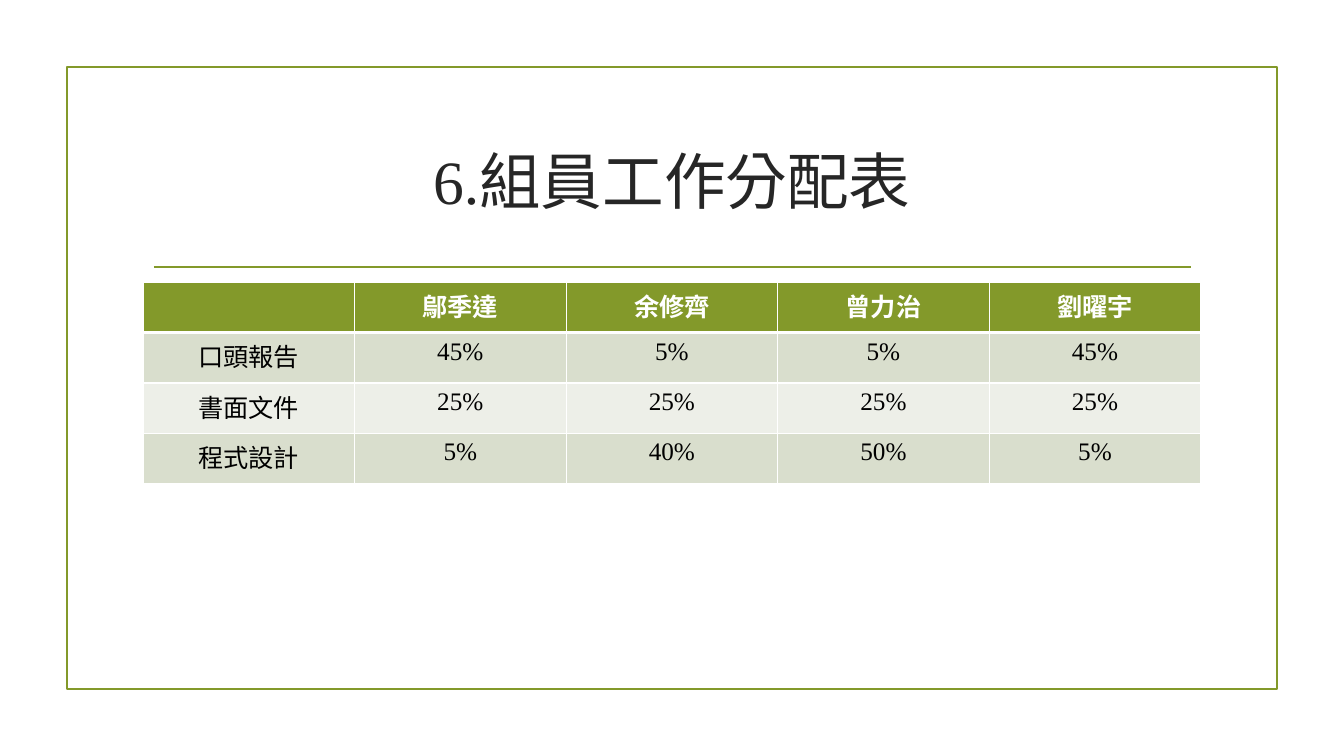
from lxml.etree import SubElement
from pptx import Presentation
from pptx.dml.color import RGBColor
from pptx.enum.shapes import MSO_CONNECTOR, MSO_SHAPE
from pptx.enum.text import MSO_ANCHOR, PP_ALIGN
from pptx.oxml.ns import qn
from pptx.util import Emu, Pt

GREEN = RGBColor(0x83, 0x99, 0x2A)
DARK = RGBColor(0x26, 0x26, 0x26)
BLACK = RGBColor(0x00, 0x00, 0x00)
WHITE = RGBColor(0xFF, 0xFF, 0xFF)
BAND_DARK = RGBColor(0xD9, 0xDE, 0xCD)
BAND_LIGHT = RGBColor(0xED, 0xEF, 0xE8)

WORKLOAD = [
    ["", "鄔季達", "余修齊", "曾力治", "劉曜宇"],
    ["口頭報告", "45%", "5%", "5%", "45%"],
    ["書面文件", "25%", "25%", "25%", "25%"],
    ["程式設計", "5%", "40%", "50%", "5%"],
]


def px(*lengths):
    return [Emu(round(length * 914400 / 100.8)) for length in lengths]


class SlideBuilder:
    """Draws styled elements on one slide."""

    font = "Times New Roman"
    rule_width = Pt(1.25)

    def __init__(self, page):
        self.page = page

    def add_text(self, frame, text, size, color, bold=False):
        para = frame.paragraphs[0]
        para.alignment = PP_ALIGN.CENTER
        span = para.add_run()
        span.text = text
        span.font.name = self.font
        span.font.size = Pt(size)
        span.font.bold = bold
        span.font.color.rgb = color
        span._r.get_or_add_rPr().set("lang", "zh-TW")

    def frame(self, left, top, width, height):
        box = self.page.shapes.add_shape(MSO_SHAPE.RECTANGLE, *px(left, top, width, height))
        box.shadow.inherit = False
        box.fill.background()
        box.line.color.rgb = GREEN
        box.line.width = self.rule_width

    def rule(self, left, right, y):
        line = self.page.shapes.add_connector(MSO_CONNECTOR.STRAIGHT, *px(left, y, right, y))
        line.line.color.rgb = GREEN
        line.line.width = self.rule_width
        SubElement(line._element.spPr, qn("a:effectLst"))

    def title(self, text, left, top, width, height):
        box = self.page.shapes.add_textbox(*px(left, top, width, height))
        box.text_frame.word_wrap = True
        box.text_frame.vertical_anchor = MSO_ANCHOR.MIDDLE
        self.add_text(box.text_frame, text, 44, DARK)

    def borders(self, cell, top, bottom):
        properties = cell._tc.get_or_add_tcPr()
        for index, (side, width) in enumerate([("L", 1), ("R", 1), ("T", top), ("B", bottom)]):
            edge = properties.makeelement(qn(f"a:ln{side}"), {"w": str(Pt(width))})
            fill = SubElement(edge, qn("a:solidFill"))
            SubElement(fill, qn("a:srgbClr"), val=str(WHITE))
            properties.insert(index, edge)

    def table(self, rows, left, top, width, height):
        grid = self.page.shapes.add_table(
            len(rows), len(rows[0]), *px(left, top, width, height)
        ).table
        for row, texts in enumerate(rows):
            header = row == 0
            band = BAND_DARK if row % 2 else BAND_LIGHT
            for column, text in enumerate(texts):
                cell = grid.cell(row, column)
                cell.fill.solid()
                cell.fill.fore_color.rgb = GREEN if header else band
                self.borders(cell, top=3 if row == 1 else 1, bottom=3 if header else 1)
                if text:
                    self.add_text(cell.text_frame, text, 18, WHITE if header else BLACK, header)


def main():
    deck = Presentation()
    deck.slide_width, deck.slide_height = px(1344, 756)
    builder = SlideBuilder(deck.slides.add_slide(deck.slide_layouts[6]))
    builder.frame(67, 67, 1210, 622)
    builder.rule(154, 1191, 267)
    builder.title("6.組員工作分配表", 143, 108, 1058, 144)
    builder.table(WORKLOAD, 143, 282, 1058, 202)
    deck.save("out.pptx")


if __name__ == "__main__":
    main()
